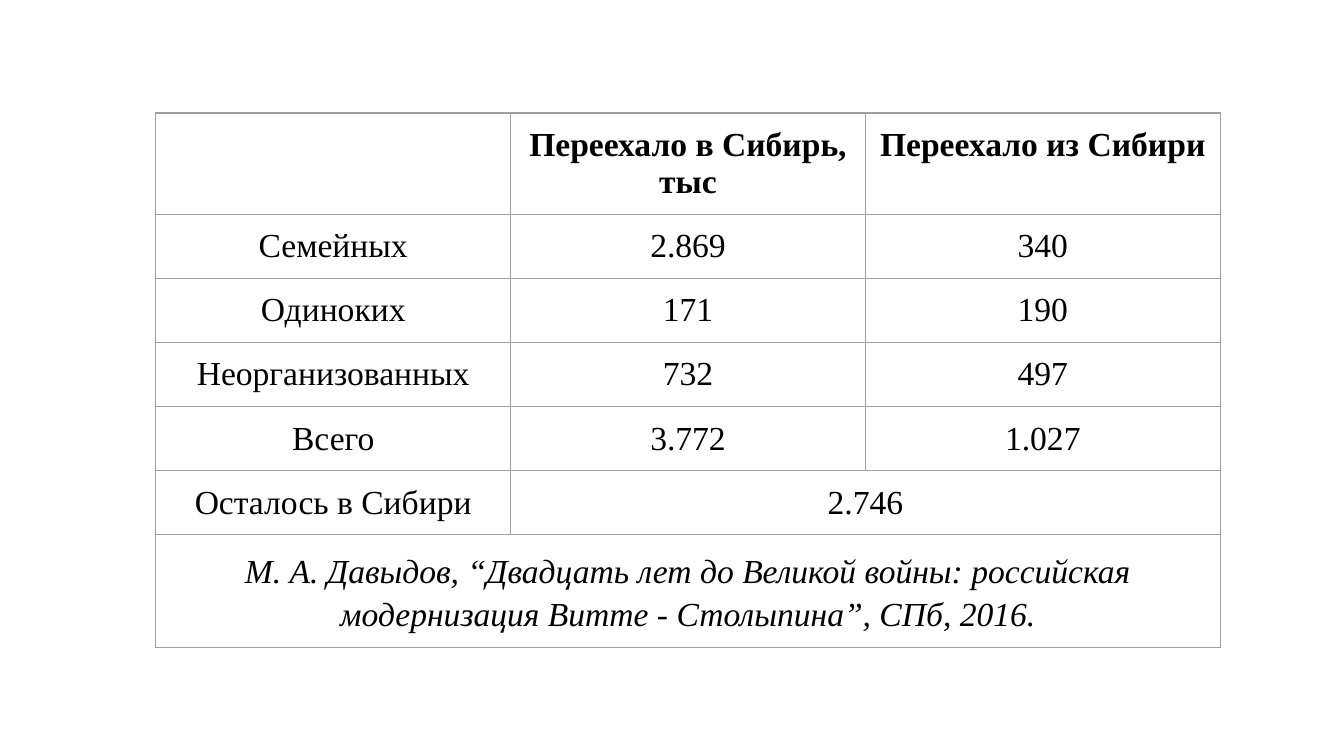
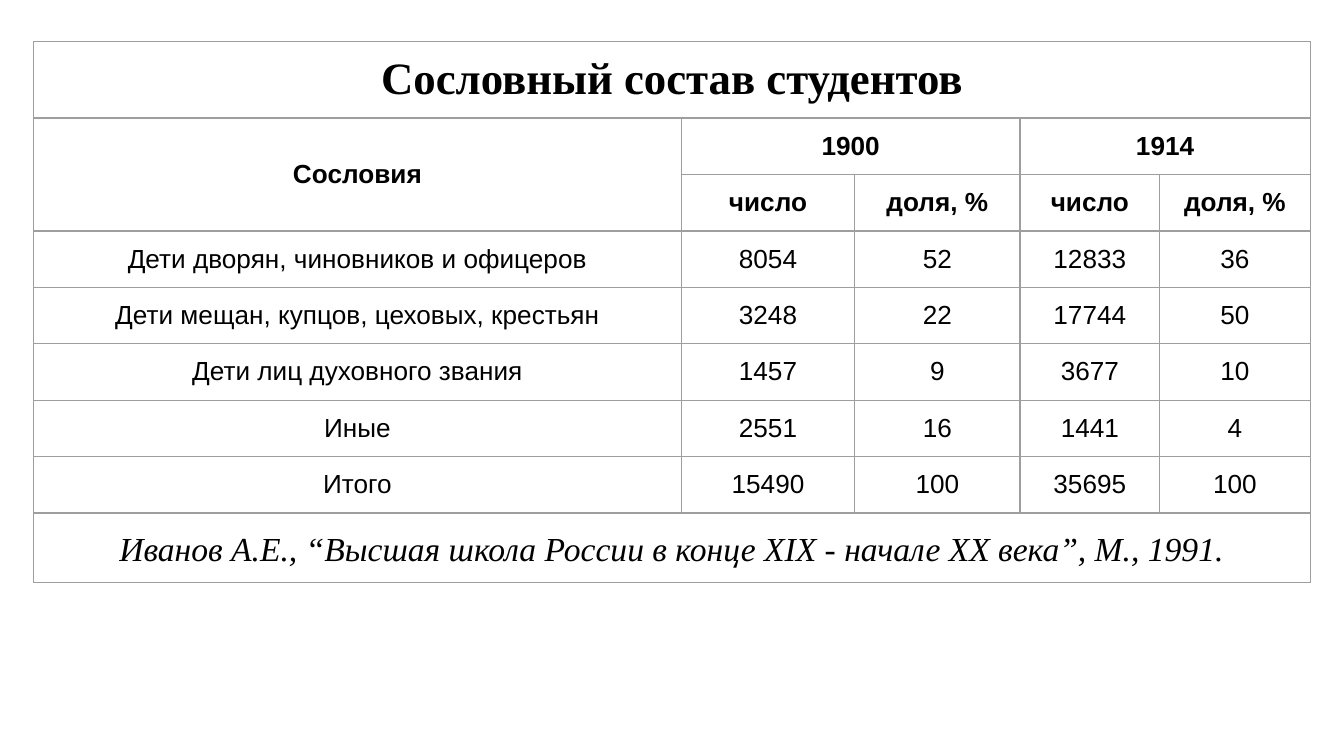
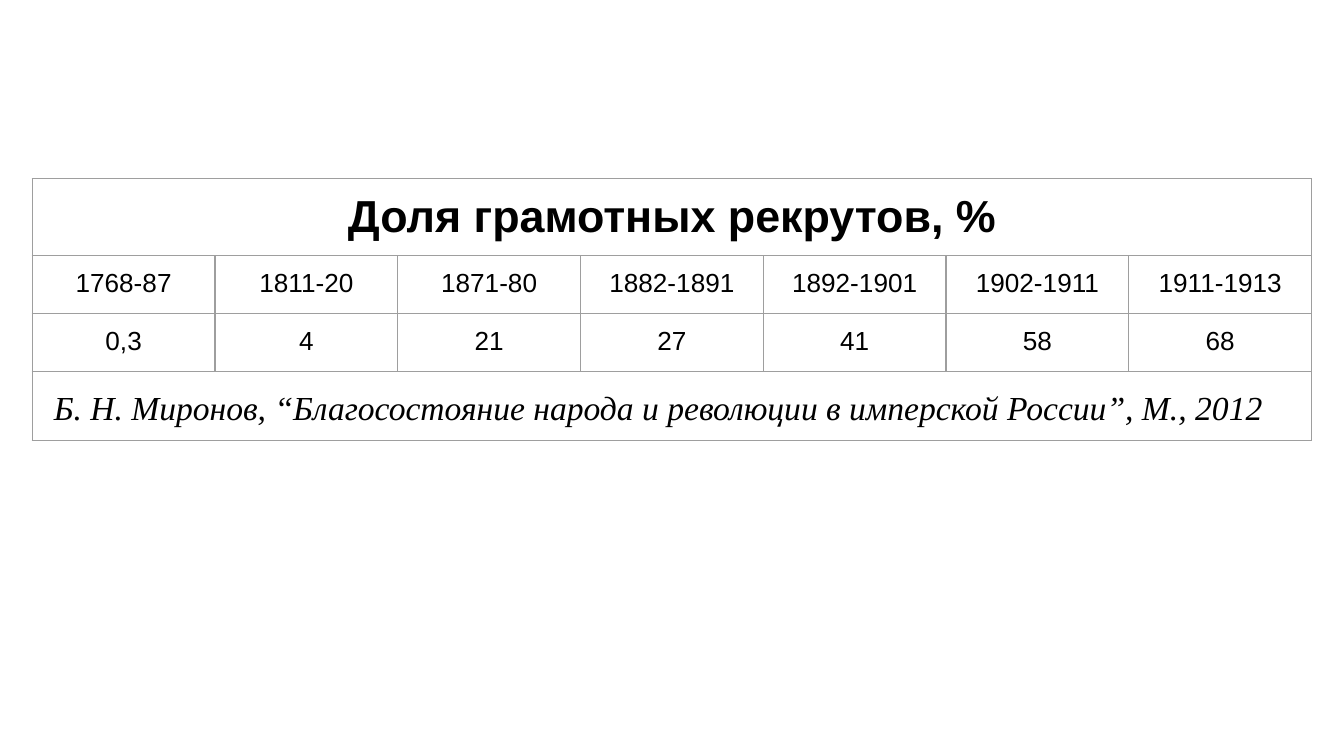
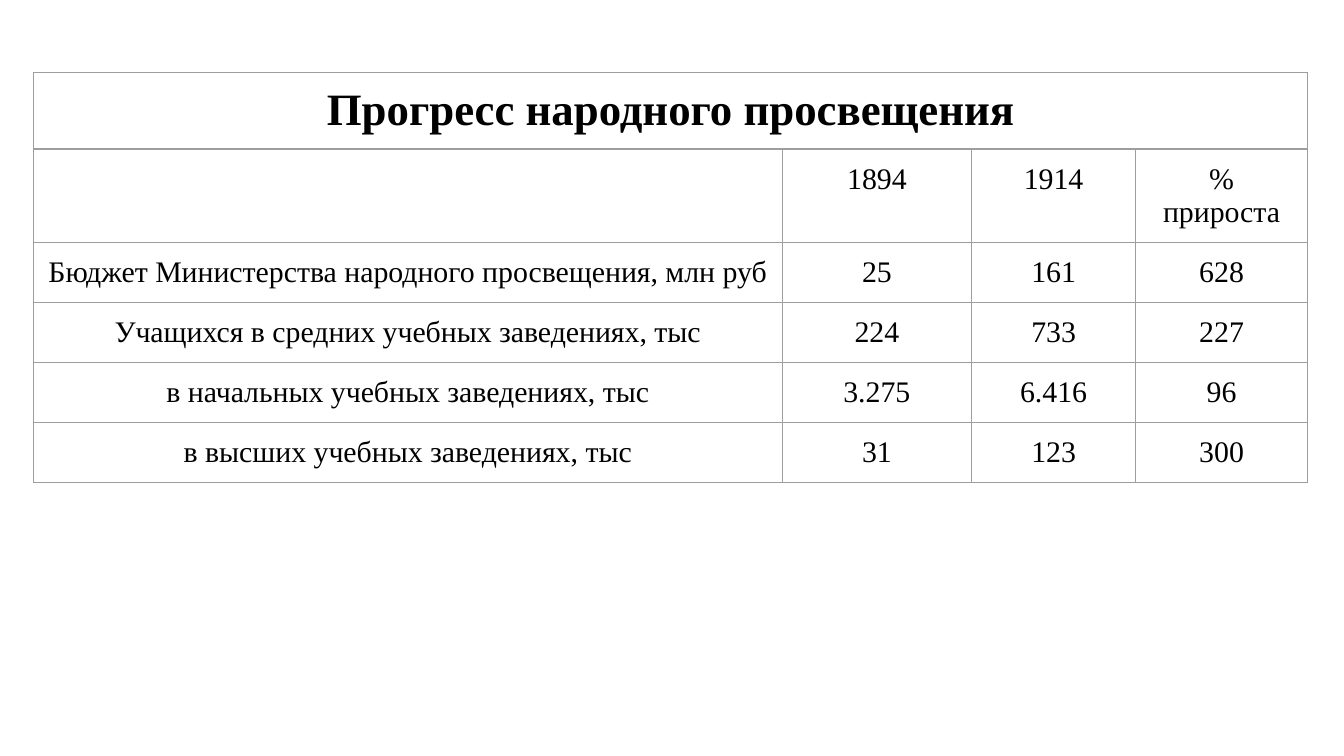
from dataclasses import dataclass, replace

from lxml import etree
from pptx import Presentation
from pptx import util as u
from pptx.dml.color import RGBColor
from pptx.enum import text
from pptx.oxml import ns

BLACK = RGBColor(0x00, 0x00, 0x00)
WHITE = RGBColor(0xFF, 0xFF, 0xFF)
GRAY = RGBColor(0x9E, 0x9E, 0x9E)
SERIF, SANS = "Times New Roman", "Arial"
SLIDE_W = u.Inches(10)
SLIDE_H = SLIDE_W * 9 // 16
INSET = u.Inches(0.1)
ROW_H = 0.42
LEFT, ABOVE = object(), object()


@dataclass(frozen=True)
class Style:
    size: int
    font: str = SERIF
    bold: bool = False
    italic: bool = False
    spacing: float = 1.0
    align: text.PP_ALIGN = text.PP_ALIGN.CENTER
    indent: float = 0


TITLE = Style(24, bold=True)
SOURCE = Style(18, italic=True, spacing=1.15)
SERIF_18 = Style(18)
SERIF_16 = Style(16)
SANS_14 = Style(14, SANS)


def set_borders(cell):
    tcPr = cell._tc.get_or_add_tcPr()
    for i, side in enumerate(("lnL", "lnR", "lnT", "lnB")):
        ln = etree.Element(ns.qn(f"a:{side}"), w=str(u.Pt(0.75)))
        fill = etree.SubElement(ln, ns.qn("a:solidFill"))
        etree.SubElement(fill, ns.qn("a:srgbClr"), val=str(GRAY))
        tcPr.insert(i, ln)


def write_cell(cell, value, style):
    cell.margin_left = INSET + u.Inches(style.indent)
    cell.margin_right = cell.margin_top = cell.margin_bottom = INSET
    cell.text = value
    p = cell.text_frame.paragraphs[0]
    p.alignment, p.line_spacing = style.align, style.spacing
    p.font.name, p.font.size = style.font, u.Pt(style.size)
    p.font.bold, p.font.italic = style.bold, style.italic
    p.font.color.rgb = BLACK


def merge_spans(table, rows):
    for r, (_, values) in enumerate(rows):
        for c, value in enumerate(values):
            if value in (LEFT, ABOVE):
                continue
            right, bottom = c, r
            while right + 1 < len(values) and values[right + 1] is LEFT:
                right += 1
            while bottom + 1 < len(rows) and rows[bottom + 1][1][c] is ABOVE:
                bottom += 1
            if (right, bottom) != (c, r):
                table.cell(r, c).merge(table.cell(bottom, right))
            if bottom > r:
                table.cell(r, c).vertical_anchor = text.MSO_ANCHOR.MIDDLE


def full_row(style, value, columns):
    return style, [value] + [LEFT] * (columns - 1)


def add_table_slide(prs, left, top, widths, rows, row_h=ROW_H):
    s = prs.slides.add_slide(prs.slide_layouts[6])
    s.background.fill.solid()
    s.background.fill.fore_color.rgb = WHITE
    frame = s.shapes.add_table(
        len(rows), len(widths), u.Inches(left), u.Inches(top),
        u.Inches(sum(widths)), u.Inches(row_h * len(rows)))
    table = frame.table
    table.first_row = table.horz_banding = False
    for column, width in zip(table.columns, widths):
        column.width = u.Inches(width)
    for r, (style, values) in enumerate(rows):
        table.rows[r].height = u.Inches(row_h)
        for c, value in enumerate(values):
            cell = table.cell(r, c)
            cell.fill.background()
            set_borders(cell)
            if value and value not in (LEFT, ABOVE):
                write_cell(cell, value, style)
    merge_spans(table, rows)


def add_migration(prs):
    add_table_slide(prs, 1.16, 0.84, [2.64] * 3, [
        (replace(SERIF_18, bold=True),
         ["", "Переехало в Сибирь, тыс", "Переехало из Сибири"]),
        (SERIF_18, ["Семейных", "2.869", "340"]),
        (SERIF_18, ["Одиноких", "171", "190"]),
        (SERIF_18, ["Неорганизованных", "732", "497"]),
        (SERIF_18, ["Всего", "3.772", "1.027"]),
        (SERIF_18, ["Осталось в Сибири", "2.746", LEFT]),
        full_row(SOURCE, "М. А. Давыдов, “Двадцать лет до Великой войны: российская "
                 "модернизация Витте - Столыпина”, СПб, 2016.", 3),
    ])


def add_students(prs):
    head = replace(SANS_14, bold=True)
    add_table_slide(prs, 0.25, 0.31, [4.82, 1.29, 1.23, 1.04, 1.12], [
        full_row(TITLE, "Сословный состав студентов", 5),
        (head, ["Сословия", "1900", LEFT, "1914", LEFT]),
        (head, [ABOVE] + ["число", "доля, %"] * 2),
        (SANS_14, ["Дети дворян, чиновников и офицеров", "8054", "52", "12833", "36"]),
        (SANS_14, ["Дети мещан, купцов, цеховых, крестьян", "3248", "22", "17744", "50"]),
        (SANS_14, ["Дети лиц духовного звания", "1457", "9", "3677", "10"]),
        (SANS_14, ["Иные", "2551", "16", "1441", "4"]),
        (SANS_14, ["Итого", "15490", "100", "35695", "100"]),
        full_row(SOURCE, "Иванов А.Е., “Высшая школа России в конце XIX - начале "
                 "XX века”, М., 1991.", 5),
    ])


def add_recruits(prs):
    add_table_slide(prs, 0.24, 1.33, [1.36] * 7, [
        full_row(replace(TITLE, font=SANS), "Доля грамотных рекрутов, %", 7),
        (SANS_14, ["1768-87", "1811-20", "1871-80", "1882-1891",
                   "1892-1901", "1902-1911", "1911-1913"]),
        (SANS_14, ["0,3", "4", "21", "27", "41", "58", "68"]),
        full_row(replace(SOURCE, align=text.PP_ALIGN.LEFT, indent=0.06),
                 "Б. Н. Миронов, “Благосостояние народа и революции в имперской "
                 "России”, М., 2012", 7),
    ], row_h=0.43)


def add_education(prs):
    add_table_slide(prs, 0.25, 0.54, [5.57, 1.41, 1.22, 1.28], [
        full_row(TITLE, "Прогресс народного просвещения", 4),
        (SERIF_16, ["", "1894", "1914", "% прироста"]),
        (SERIF_16, ["Бюджет Министерства народного просвещения, млн руб",
                    "25", "161", "628"]),
        (SERIF_16, ["Учащихся в средних учебных заведениях, тыс", "224", "733", "227"]),
        (SERIF_16, ["в начальных учебных заведениях, тыс", "3.275", "6.416", "96"]),
        (SERIF_16, ["в высших учебных заведениях, тыс", "31", "123", "300"]),
    ])


def main():
    prs = Presentation()
    prs.slide_width, prs.slide_height = SLIDE_W, SLIDE_H
    for add_slide in (add_migration, add_students, add_recruits, add_education):
        add_slide(prs)
    prs.save("out.pptx")


if __name__ == "__main__":
    main()
